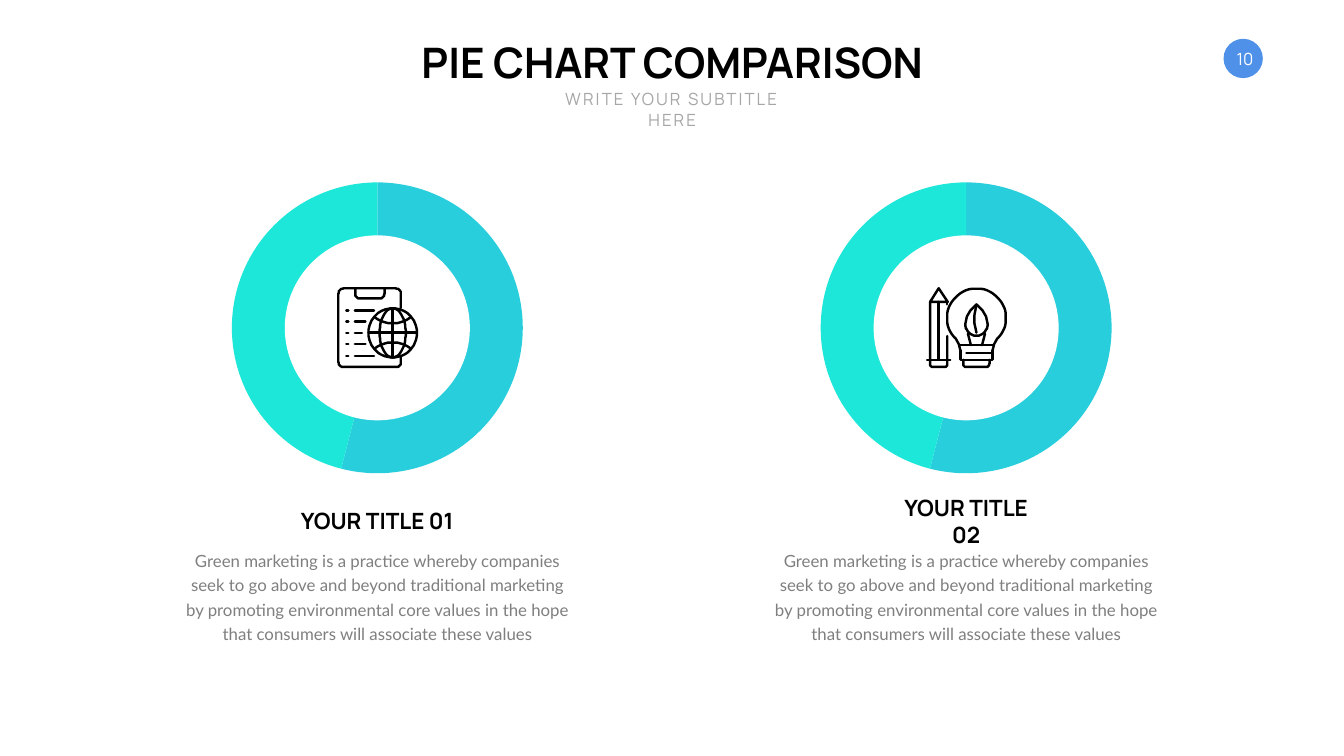
import math

from lxml import etree
from pptx import Presentation, util as u
from pptx.chart import data
from pptx.dml import color
from pptx.enum import chart as charts, shapes, text
from pptx.oxml import ns

BODY = ("Green marketing is a practice whereby companies seek to go above and "
        "beyond traditional marketing by promoting environmental core values in "
        "the hope that consumers will associate these values")


def rgb(value):
    """Turn a hex string into a colour."""
    return color.RGBColor.from_string(value)


def write(shape, words, size, hue, font="Manrope", bold=False, wrap=False, spacing=0):
    """Write one centred paragraph into a shape and return the paragraph."""
    frame = shape.text_frame
    frame.word_wrap = wrap
    frame.auto_size = text.MSO_AUTO_SIZE.SHAPE_TO_FIT_TEXT
    para = frame.paragraphs[0]
    para.alignment = text.PP_ALIGN.CENTER
    span = para.add_run()
    span.text = words
    span.font.size, span.font.name, span.font.bold = u.Pt(size), font, bold
    span.font.color.rgb = rgb(hue)
    if spacing:
        span.font._element.set("spc", str(spacing * 100))
    return para


def add_text(page, box, words, size, hue, **style):
    """Add a text box and return its shape and paragraph."""
    shape = page.shapes.add_textbox(*map(u.Inches, box))
    return shape, write(shape, words, size, hue, **style)


def add_disc(page, box, hue):
    """Add a plain filled circle."""
    disc = page.shapes.add_shape(shapes.MSO_SHAPE.OVAL, *map(u.Inches, box))
    disc.shadow.inherit = False
    disc.fill.solid()
    disc.fill.fore_color.rgb = rgb(hue)
    disc.line.fill.background()
    return disc


def add_header(page, left, top, width):
    """Add the title, the subtitle and the page number."""
    add_text(page, (left, top, width, 1.11), "PIE CHART COMPARISON", 60, "000000", bold=True)
    add_text(page, (left + 2.56, top + 1.05, 5.43, 0.5), "WRITE YOUR SUBTITLE HERE",
             24, "A6A6A6", spacing=3)
    add_disc(page, (24.27, top + 0.1, 0.78, 0.78), "4F91E8")
    number = add_disc(page, (24.35, top + 0.16, 0.69, 0.69), "4F91E8")
    number.fill.background()
    frame = number.text_frame
    frame.vertical_anchor = text.MSO_ANCHOR.MIDDLE
    frame.margin_left = frame.margin_right = frame.margin_top = frame.margin_bottom = 0
    write(number, "10", 24, "FFFFFF")


def add_pie(page, box, values, hues):
    """Add a pie chart that fills its frame."""
    source = data.CategoryChartData()
    source.categories = ["1", "2"]
    source.add_series("Series 1", values)
    chart = page.shapes.add_chart(charts.XL_CHART_TYPE.PIE, *map(u.Inches, box), source).chart
    chart.has_legend = chart.has_title = False
    chart.font.name, chart.font.size = "Calibri", u.Pt(10)
    chart.font.color.rgb = rgb("7F7F7F")
    for index, hue in enumerate(hues):
        fill = chart.plots[0].series[0].points[index].format.fill
        fill.solid()
        fill.fore_color.rgb = rgb(hue)
    area = chart._chartSpace.find(".//" + ns.qn("c:plotArea"))
    for old in area.findall(ns.qn("c:layout")):
        area.remove(old)
    layout = etree.Element(ns.qn("c:layout"))
    manual = etree.SubElement(layout, ns.qn("c:manualLayout"))
    for tag, value in (("layoutTarget", "inner"), ("xMode", "edge"), ("yMode", "edge"),
                       ("x", "0.005"), ("y", "0.005"), ("w", "0.99"), ("h", "0.99")):
        etree.SubElement(manual, ns.qn("c:" + tag)).set("val", value)
    area.insert(0, layout)


def arc(x, y, wide, high, start, end):
    """Return points along an elliptical arc, angles in degrees clockwise."""
    steps = max(6, abs(end - start) // 6)
    turns = [math.radians(start + (end - start) * i / steps) for i in range(steps + 1)]
    return [(x + wide * math.cos(t), y + high * math.sin(t)) for t in turns]


def cup(left, right, top, bottom, radius):
    """Return an open U outline with two rounded lower corners."""
    low = bottom - radius
    return [(left, top), *arc(left + radius, low, radius, radius, 180, 90),
            *arc(right - radius, low, radius, radius, 90, 0), (right, top)]


def clipboard_strokes():
    """Return the strokes of a checklist with a globe, in hundredths of an inch."""
    board = [(126.5, 41), *arc(116.5, 12.5, 10, 10, 0, -90), *arc(12.5, 12.5, 10, 10, 270, 180),
             *arc(12.5, 148.5, 10, 10, 180, 90), *arc(116.5, 148.5, 10, 10, 90, 0), (126.5, 138)]
    strokes = [board, cup(35.5, 93.5, 2.5, 22.5, 9.5)]
    for row, end in enumerate((73, 56, 49, 56, 73)):
        y = 45.5 + 22.6 * row
        strokes += [[(18.5, y), (22.5, y)], [(35, y), (end, y)]]
    x, y, radius = 110, 90.5, 48.5
    return strokes + [arc(x, y, radius, radius, 0, 360), arc(x, y, 26, radius, 0, 360),
                      [(x - radius, y), (x + radius, y)], [(x, y - radius), (x, y + radius)],
                      arc(x, y - 80, 61, 61, 55, 125), arc(x, y + 80, 61, 61, 235, 305)]


def bulb_strokes():
    """Return the strokes of a pencil and a leaf bulb, in hundredths of an inch."""
    pencil = [[(7.5, 29), (25, 2.5), (43, 29), (7.5, 29)], [(25, 29), (25, 144.5)],
              [(7.5, 29), *cup(7.5, 42.5, 144.5, 158.5, 7), (42.5, 97)],
              [(42.5, 29), (42.5, 34)], [(2.5, 144.5), (48, 144.5)]]
    glass = [(67.5, 125), (65, 113), *arc(100, 61, 58.5, 58.5, 135, 405),
             (135, 113), (132.5, 125)]
    leaf = [(100, 34), (112, 46), (119, 58), *arc(100, 72, 22.5, 24.5, 0, 180),
            (81, 58), (88, 46), (100, 34)]
    return pencil + [glass, cup(67.5, 132.5, 125, 144.5, 4), cup(73.5, 125.5, 144.5, 158.5, 7),
                     [(67, 115), (133, 115)], [(80, 129.5), (132, 129.5)], leaf,
                     [(100, 34), (95.5, 55), (95.5, 72), (100, 90)],
                     [(83, 92), (89, 115)], [(117, 92), (111, 115)]]


def add_icon(page, left, top, strokes):
    """Draw all strokes of an icon as one outline."""
    builder = page.shapes.build_freeform(*strokes[0][0], scale=u.Inches(0.01))
    for stroke in strokes:
        builder.move_to(*stroke[0])
        builder.add_line_segments(stroke[1:], close=False)
    icon = builder.convert_to_shape(u.Inches(left), u.Inches(top))
    icon.shadow.inherit = False
    icon.fill.background()
    icon.line.color.rgb = rgb("000000")
    icon.line.width = u.Pt(3.5)
    line = icon._element.spPr.find(ns.qn("a:ln"))
    line.set("cap", "rnd")
    etree.SubElement(line, ns.qn("a:round"))


def add_panel(page, left, top, title, strokes):
    """Add one ring chart with its icon, heading and text."""
    width = 7.81
    add_pie(page, (left + 0.99, top, 5.83, 5.83), (54, 46), ("29CEDC", "1DE7D8"))
    add_disc(page, (left + 2.07, top + 1.08, 3.67, 3.67), "FFFFFF")
    add_icon(page, left + 3.11, top + 2.11, strokes)
    heading, _ = add_text(page, (left + 2.28, top + 6.42, 3.25, 0.64), title, 32, "000000",
                          bold=True)
    heading.text_frame.vertical_anchor = text.MSO_ANCHOR.MIDDLE
    _, para = add_text(page, (left, top + 7.2, width, 2.01), BODY, 24, "7F7F7F",
                       font="Lato", wrap=True)
    para.line_spacing, para.space_before = u.Pt(35), u.Pt(4.8)


def main():
    """Build and save the deck."""
    deck = Presentation()
    deck.slide_width, deck.slide_height = u.Inches(26.66), u.Inches(15)
    page = deck.slides.add_slide(deck.slide_layouts[6])
    add_header(page, 8.06, 0.67, 10.55)
    panels = (("YOUR TITLE 01", clipboard_strokes()), ("YOUR TITLE 02", bulb_strokes()))
    for index, (title, strokes) in enumerate(panels):
        add_panel(page, 3.58 + 11.68 * index, 3.59, title, strokes)
    deck.save("out.pptx")


main()
